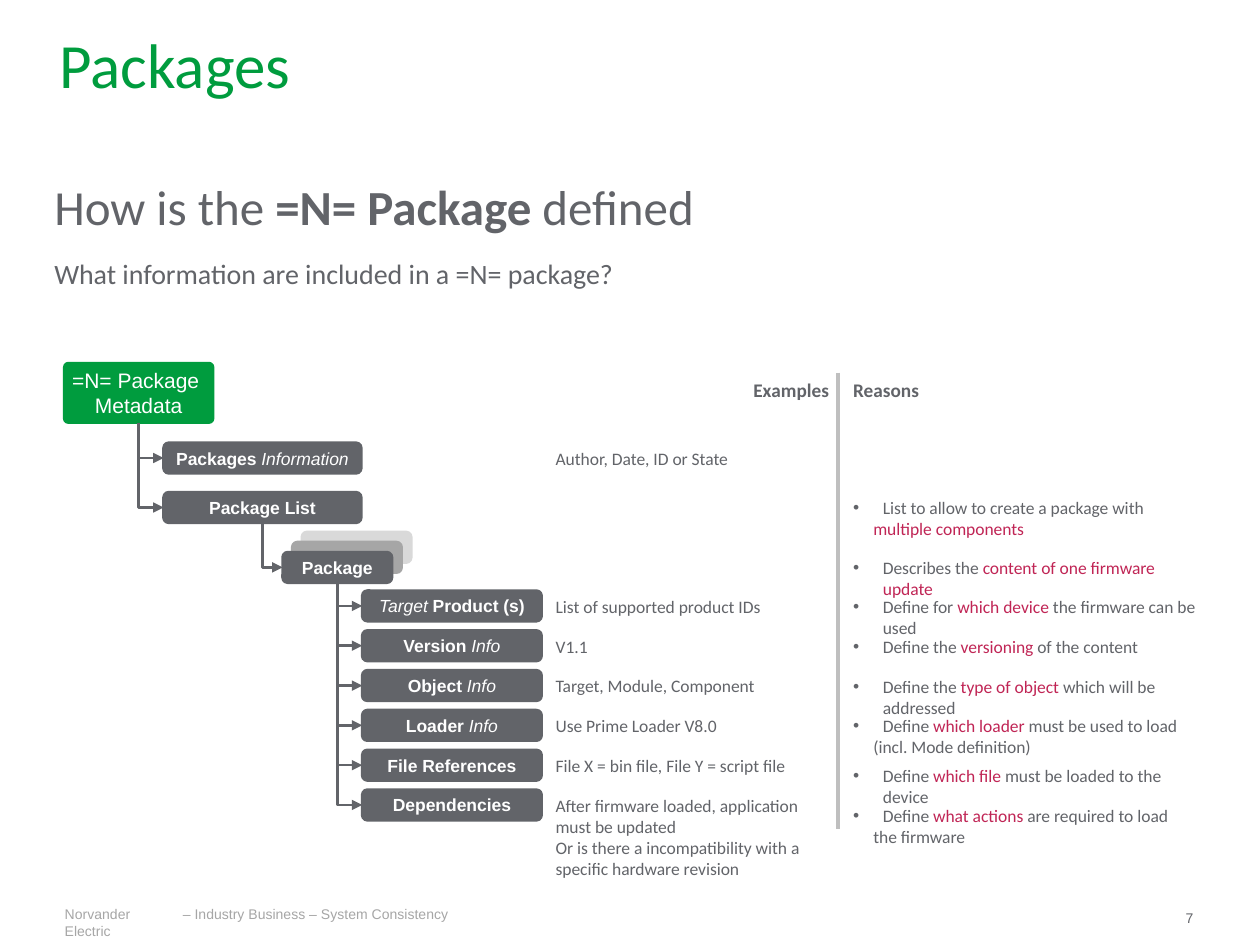
from lxml import etree
from pptx import Presentation
from pptx.dml.color import RGBColor
from pptx.enum.shapes import MSO_CONNECTOR, MSO_SHAPE
from pptx.enum.text import MSO_ANCHOR, PP_ALIGN
from pptx.oxml.ns import qn
from pptx.util import Pt

ROUND = MSO_SHAPE.ROUNDED_RECTANGLE
ELBOW, STRAIGHT = MSO_CONNECTOR.ELBOW, MSO_CONNECTOR.STRAIGHT
MIDDLE, TOP = MSO_ANCHOR.MIDDLE, MSO_ANCHOR.TOP
CENTER, LEFT = PP_ALIGN.CENTER, PP_ALIGN.LEFT

COLORS = {"green": "009C3E", "gray": "626469", "pink": "C02555", "white": "FFFFFF",
          "light": "D9D9D9", "mid": "A6A6A6", "rule": "BFBFBF"}
RGB = {name: RGBColor.from_string(value) for name, value in COLORS.items()}


def write(sp, paragraphs, size=10, font="Calibri", color="gray", align=LEFT, anchor=TOP,
          margins=(3, 3), bullet=False, gap=0):
    """Each paragraph is a list of runs: text, or (text, marks) with b, i or p (pink)."""
    tf = sp.text_frame
    tf.word_wrap = True
    tf.vertical_anchor = anchor
    tf.margin_left = tf.margin_right = Pt(margins[0])
    tf.margin_top = tf.margin_bottom = Pt(margins[1])
    for n, runs in enumerate(paragraphs):
        p = tf.paragraphs[0] if n == 0 else tf.add_paragraph()
        p.alignment = align
        if n:
            p.space_before = Pt(gap)
        if bullet:
            pPr = p._p.get_or_add_pPr()
            pPr.set("marL", str(Pt(11.5 if n else 17)))
            pPr.set("indent", str(Pt(0 if n else -17)))
            if n == 0:
                etree.SubElement(pPr, qn("a:buFont")).set("typeface", "Arial")
                etree.SubElement(pPr, qn("a:buChar")).set("char", "•")
        for run in runs:
            text, marks = (run, "") if isinstance(run, str) else run
            r = p.add_run()
            r.text = text
            r.font.name = font
            r.font.size = Pt(16 if gap and n else size)
            r.font.bold = "b" in marks
            r.font.italic = "i" in marks
            r.font.color.rgb = RGB["pink" if "p" in marks else color]


prs = Presentation()
prs.slide_width, prs.slide_height = Pt(720), Pt(540)
s = prs.slides.add_slide(prs.slide_layouts[6])

# Tree leaves: label, example, reason, reason top offset from its row, reason width
FIRST_ROW, PITCH, BOX_H = 337.5, 22.75, 17.5
LEAVES = [
    ([("Target", "i"), (" Product (s)", "b")], [["List of supported product IDs"]],
     [["Define for ", ("which device ", "p"), "the firmware can be used"]], 0, 221),
    ([("Version ", "b"), ("Info", "i")], [["V1.1"]],
     [["Define the ", ("versioning", "p"), " of the content"]], 0, 215),
    ([("Object ", "b"), ("Info", "i")], [["Target, Module, Component"]],
     [["Define the ", ("type of object ", "p"), "which will be addressed"]], 0, 215),
    ([("Loader ", "b"), ("Info", "i")], [["Use Prime Loader V8.0"]],
     [["Define ", ("which loader ", "p"), "must be used to load"],
      ["(incl. Mode definition)"]], 0, 215),
    ([("File References", "b")], [["File X = bin file, File Y = script file"]],
     [["Define ", ("which file ", "p"), "must be loaded to the device"]], 5.5, 209.5),
    ([("Dependencies", "b")],
     [["After firmware loaded, application must be updated"],
      ["Or is there a incompatibility with a specific hardware revision"]],
     [["Define ", ("what actions", "p"), " are required to load"], ["the firmware"]], 5.5, 193),
]

# Tree boxes: key, left, top, width, height, fill, size, paragraphs
boxes = [
    ("back card", 172.5, 304, 62.5, BOX_H, "light", 10, []),
    ("middle card", 167, 309.75, 62.5, BOX_H, "mid", 10, []),
    ("root", 36.75, 207.5, 85, 34, "green", 12, [["=N= Package "], ["Metadata"]]),
    ("info", 93.5, 253, 113, BOX_H, "gray", 10, [[("Packages ", "b"), ("Information", "i")]]),
    ("list", 93.5, 281.25, 113, BOX_H, "gray", 10, [[("Package List", "b")]]),
    ("package", 161.5, 315.5, 62.5, BOX_H, "gray", 10, [[("Package", "b")]]),
]
for i, leaf in enumerate(LEAVES):
    boxes.append((i, 207, FIRST_ROW + i * PITCH, 102.5, BOX_H, "gray", 10, [leaf[0]]))

nodes = {}
for key, x, y, w, h, fill, size, paragraphs in boxes:
    sp = s.shapes.add_shape(ROUND, Pt(x), Pt(y), Pt(w), Pt(h))
    sp.shadow.inherit = False
    sp.fill.solid()
    sp.fill.fore_color.rgb = sp.line.color.rgb = RGB[fill]
    sp.line.width = Pt(1.5)
    write(sp, paragraphs, size=size, font="Arial", color="white", align=CENTER,
          anchor=MIDDLE, margins=(3, 0))
    nodes[key] = sp
nodes["root"].adjustments[0] = 0.07

# Tree branches: down from the parent's bottom, then right to the child's left side
branches = [("root", "info"), ("root", "list"), ("list", "package")]
branches += [("package", i) for i in range(len(LEAVES))]
for parent, child in branches:
    a, b = nodes[parent], nodes[child]
    x1, y1 = a.left + a.width // 2, a.top + a.height
    x2, y2 = b.left, b.top + b.height // 2
    c = s.shapes.add_connector(ELBOW, x1, y1, x2, y2)
    c.begin_connect(a, 2)
    c.end_connect(b, 1)
    # A single-bend elbow is stored turned by 270 degrees about its centre
    across, down = x2 - x1, y2 - y1
    c.left, c.top = (x1 + x2 - down) // 2, (y1 + y2 - across) // 2
    c.width, c.height = down, across
    spPr = c._element.spPr
    spPr.find(qn("a:xfrm")).set("rot", "16200000")
    spPr.find(qn("a:xfrm")).set("flipH", "1")
    spPr.find(qn("a:prstGeom")).set("prst", "bentConnector2")
    c.line.color.rgb = RGB["gray"]
    c.line.width = Pt(1.5)
    etree.SubElement(spPr.find(qn("a:ln")), qn("a:tailEnd")).set("type", "triangle")
    etree.SubElement(spPr, qn("a:effectLst"))

# Divider between examples and reasons
c = s.shapes.add_connector(STRAIGHT, Pt(479), Pt(213), Pt(479), Pt(474))
c.line.color.rgb = RGB["rule"]
c.line.width = Pt(2.25)
etree.SubElement(c._element.spPr, qn("a:effectLst"))

# Text boxes: left, top, width, height, paragraphs, format
EXAMPLE_X, REASON_X = 314.5, 484.5
footer = dict(size=8, font="Arial", color="mid", margins=(0, 0))
texts = [
    (34, 23, 652, 26, [["Packages"]],
     dict(size=36, color="green", anchor=MIDDLE, margins=(0, 1))),
    (31, 100, 652, 91,
     [["How is the ", ("=N= Package ", "b"), "defined"],
      ["What information are included in a =N= package?"]],
     dict(size=28, margins=(0, 1), gap=12)),
    (427.5, 213, 51.5, 19, [[("Examples", "b")]], dict(size=11)),
    (REASON_X, 213, 46, 19, [[("Reasons", "b")]], dict(size=11)),
    (EXAMPLE_X, 253, 193, 18, [["Author, Date, ID or State"]], {}),
    (REASON_X, 281.25, 193, 30,
     [["List to allow to create a package with"], [("multiple components", "p")]],
     dict(bullet=True)),
    (REASON_X, 315.5, 204, 18,
     [["Describes the ", ("content of one firmware update", "p")]], dict(bullet=True)),
    (37, 517.5, 64, 9.5, [["Norvander Electric"]], footer),
    (104.5, 517.5, 153.5, 9.5, [["– Industry Business – System Consistency"]], footer),
    (677.5, 519.5, 23, 6, [["7"]], {**footer, "color": "gray"}),
]
for i, (label, example, reason, offset, width) in enumerate(LEAVES):
    y = FIRST_ROW + i * PITCH
    texts.append((EXAMPLE_X, y, 158.5 if len(example) > 1 else 193, 18 * len(example) ** 1.5,
                  example, {}))
    texts.append((REASON_X, y + offset, width, 6 + 12 * len(reason), reason, dict(bullet=True)))

for x, y, w, h, paragraphs, style in texts:
    write(s.shapes.add_textbox(Pt(x), Pt(y), Pt(w), Pt(h)), paragraphs, **style)

prs.save("out.pptx")
